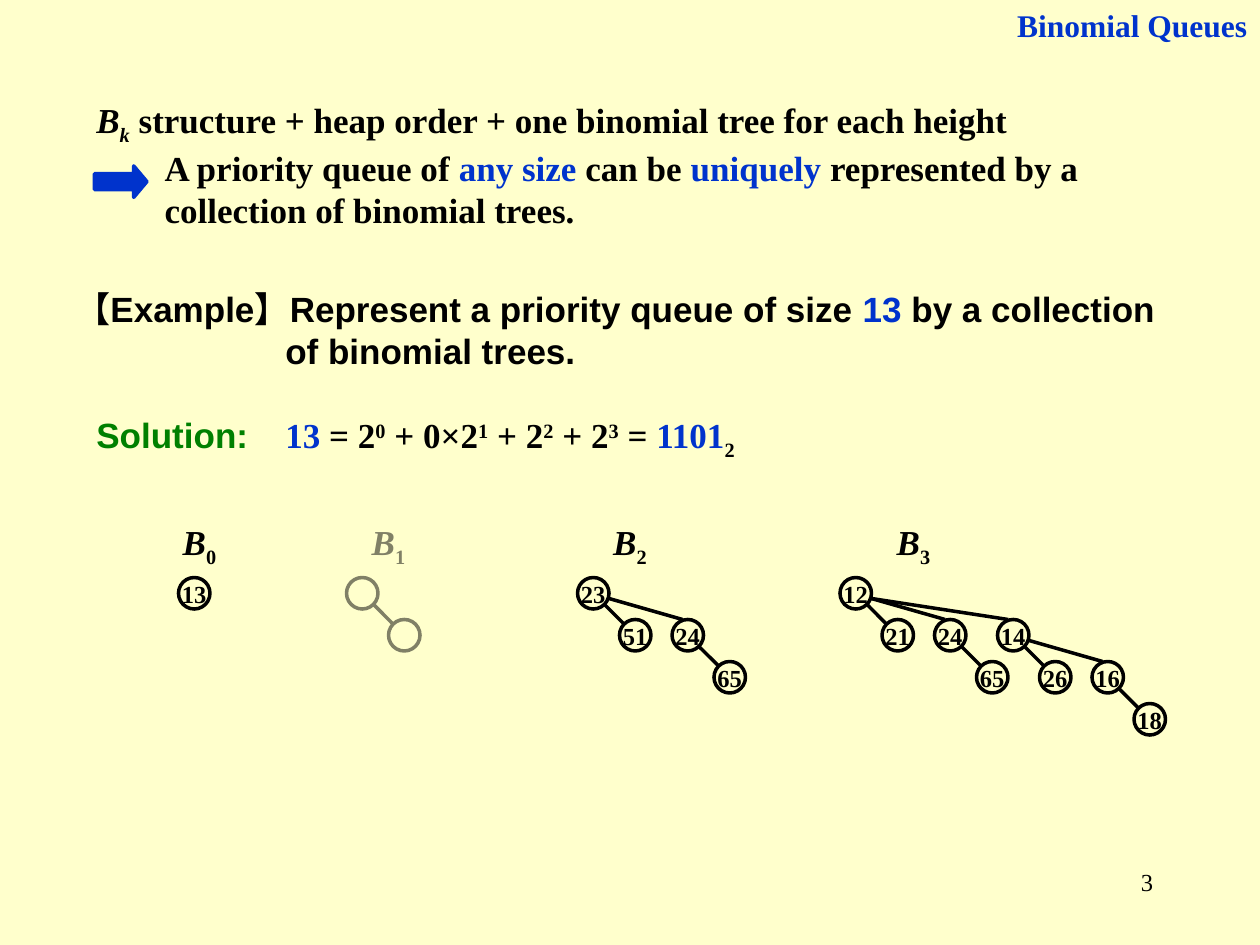
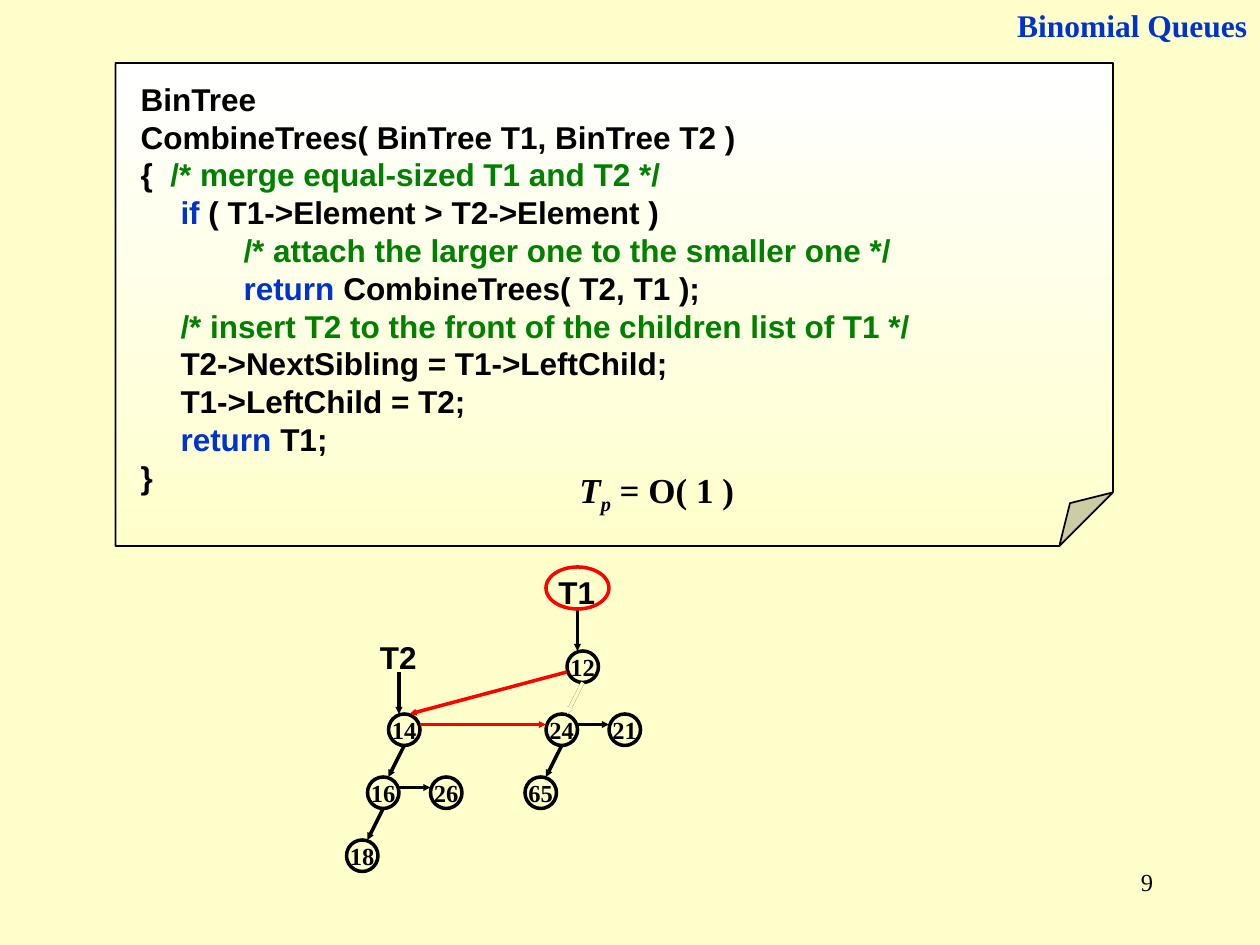
from lxml import etree
from pptx import Presentation
from pptx import util as u
from pptx.dml.color import RGBColor
from pptx.enum import shapes, text
from pptx.oxml import ns

EMU_PER_PX = 7620  # 120 px to the inch
COLORS = {"paper": "FFFFCC", "white": "FFFFFF", "black": "000000",
          "blue": "0033CC", "green": "008000", "red": "FF0000"}
SERIF, SANS = "Times New Roman", "Arial"
BASELINES = {"sub": "-25000", "super": "30000"}
NODE = 30
CHILD_STEPS = (40, 90, 150)  # horizontal offset of each child of a binomial tree
LEVEL = 40
LINK_LEFT, LINK_DOWN, SIBLING_STEP = -20, 60, 60


def px(*lengths):
    return [u.Emu(length * EMU_PER_PX) for length in lengths]


def rgb(name):
    return RGBColor.from_string(COLORS[name])


def write(paragraph, pieces, size, font=SERIF, bold=True):
    """Fill a paragraph; a piece is a string or (string, space-separated styles)."""
    for piece in pieces:
        words, styles = (piece, "") if isinstance(piece, str) else piece
        run = paragraph.add_run()
        run.text = words
        run.font.name, run.font.size, run.font.bold = font, u.Pt(size), bold
        run.font.color.rgb = rgb("black")
        for style in styles.split():
            if style in COLORS:
                run.font.color.rgb = rgb(style)
            elif style in BASELINES:
                run.font._element.set("baseline", BASELINES[style])
            elif style == "italic":
                run.font.italic = True


def indent(paragraph, left, first=0):
    properties = paragraph._p.get_or_add_pPr()
    properties.set("marL", str(left * EMU_PER_PX))
    properties.set("indent", str(first * EMU_PER_PX))


def add_text(slide, box, pieces, size=20, font=SERIF, bold=True, align=None, wrap=True):
    frame = slide.shapes.add_textbox(*px(*box)).text_frame
    frame.word_wrap = wrap
    paragraph = frame.paragraphs[0]
    paragraph.alignment = align
    write(paragraph, pieces, size, font, bold)
    return frame


def add_shape(slide, kind, box, line="black", fill=None, width=2):
    shape = slide.shapes.add_shape(kind, *px(*box))
    shape.shadow.inherit = False
    if fill:
        shape.fill.solid()
        shape.fill.fore_color.rgb = rgb(fill)
    else:
        shape.fill.background()
    if line:
        shape.line.color.rgb = rgb(line)
        shape.line.width = u.Pt(width)
    else:
        shape.line.fill.background()
    return shape


def add_line(slide, start, end, color="black", arrow=False):
    line = slide.shapes.add_connector(shapes.MSO_CONNECTOR.STRAIGHT, *px(*start, *end))
    line.line.color.rgb = rgb(color)
    line.line.width = u.Pt(2)
    properties = line._element.spPr
    if arrow:
        etree.SubElement(properties.find(ns.qn("a:ln")), ns.qn("a:tailEnd"),
                         type="triangle", w="sm", len="sm")
    etree.SubElement(properties, ns.qn("a:effectLst"))


def add_node(slide, left, top, key):
    node = add_shape(slide, shapes.MSO_SHAPE.OVAL, (left, top, NODE, NODE))
    if key:
        frame = node.text_frame
        frame.word_wrap = False
        frame.vertical_anchor = text.MSO_ANCHOR.MIDDLE
        frame.margin_left = frame.margin_right = frame.margin_top = frame.margin_bottom = 0
        frame.paragraphs[0].alignment = text.PP_ALIGN.CENTER
        write(frame.paragraphs[0], [key], 14)


def add_binomial_tree(slide, left, top, tree):
    """Draw (key, children), each child being the next larger binomial tree."""
    key, children = tree
    for step, child in zip(CHILD_STEPS, children):
        if step == CHILD_STEPS[0]:
            start, end = (left + 25, top + 25), (left + step + 5, top + LEVEL + 5)
        else:
            start, end = (left + NODE, top + 20), (left + step + 10, top + LEVEL)
        add_line(slide, start, end)
        add_binomial_tree(slide, left + step, top + LEVEL, child)
    add_node(slide, left, top, key)


def add_linked_tree(slide, left, top, tree):
    """Draw (key, left child, next sibling) with an arrow for each pointer."""
    key, child, sibling = tree
    add_node(slide, left, top, key)
    if child:
        add_line(slide, (left + 15, top + NODE), (left + 15 + LINK_LEFT + 5, top + LINK_DOWN),
                 arrow=True)
        add_linked_tree(slide, left + LINK_LEFT, top + LINK_DOWN, child)
    if sibling:
        add_line(slide, (left + NODE, top + 10), (left + SIBLING_STEP, top + 10), arrow=True)
        add_linked_tree(slide, left + SIBLING_STEP, top, sibling)


def add_base_slide(presentation, number):
    slide = presentation.slides.add_slide(presentation.slide_layouts[5])
    title = slide.shapes.title
    title.left, title.top, title.width, title.height = px(890, 0, 310, 48)
    frame = title.text_frame
    frame.auto_size = text.MSO_AUTO_SIZE.NONE
    frame.vertical_anchor = text.MSO_ANCHOR.TOP
    frame.paragraphs[0].alignment = text.PP_ALIGN.RIGHT
    write(frame.paragraphs[0], [("Binomial Queues", "blue")], 18)
    add_text(slide, (860, 820, 250, 60), [str(number)], 14, bold=False,
             align=text.PP_ALIGN.RIGHT)
    return slide


def add_statement(slide, left, top):
    frame = add_text(slide, (left, top, 1010, 132), [
        ("B", "italic"), ("k", "italic sub"),
        " structure + heap order + one binomial tree for each height"])
    for pieces in (
            ["A priority queue of ", ("any size", "blue"), " can be ", ("uniquely", "blue"),
             " represented by a"],
            ["collection of binomial trees."]):
        paragraph = frame.add_paragraph()
        indent(paragraph, 65)
        write(paragraph, pieces, 20)
    arrow = add_shape(slide, shapes.MSO_SHAPE.RIGHT_ARROW, (left + 10, top + 70, 50, 30),
                      "blue", "blue")
    arrow.adjustments[1] = 0.42


def add_example(slide, left, top):
    frame = add_text(slide, (left, top, 1080, 92), [
        "【Example】Represent a priority queue of size ", ("13", "blue"),
        " by a collection of binomial trees."], font=SANS)
    indent(frame.paragraphs[0], 200, -200)


def add_solution(slide, left, top):
    add_text(slide, (left, top, 200, 52), [("Solution:", "green")], font=SANS)
    add_text(slide, (left + 180, top, 550, 52), [
        ("13", "blue"), " = 2", ("0", "super"), " + 0×2", ("1", "super"), " + 2",
        ("2", "super"), " + 2", ("3", "super"), " = ", ("1101", "blue"), ("2", "sub")])


def add_forest(slide, top):
    """Draw B0 to B3 in a row and veil the unused B1."""
    pair = ("24", [("65", [])])
    forest = [
        (150, 170, ("13", [])),
        (330, 330, ("", [("", [])])),
        (560, 550, ("23", [("51", []), pair])),
        (830, 800, ("12", [("21", []), pair,
                           ("14", [("26", []), ("16", [("18", [])])])])),
    ]
    for order, (label_left, root_left, tree) in enumerate(forest):
        add_text(slide, (label_left, top, 80, 52), [("B", "italic"), (str(order), "sub")],
                 align=text.PP_ALIGN.CENTER)
        add_binomial_tree(slide, root_left, top + 60, tree)
    veil = add_shape(slide, shapes.MSO_SHAPE.RECTANGLE, (300, top, 140, 140), None, "paper")
    color = veil._element.spPr.find(ns.qn("a:solidFill")).find(ns.qn("a:srgbClr"))
    etree.SubElement(color, ns.qn("a:alpha"), val="50000")


def add_code_sheet(slide, left, top):
    sheet = add_shape(slide, shapes.MSO_SHAPE.FOLDED_CORNER, (left, top, 950, 460), width=1)
    guides = sheet._element.spPr.find(ns.qn("a:prstGeom")).find(ns.qn("a:avLst"))
    for guide in list(guides):
        guides.remove(guide)
    etree.SubElement(guides, ns.qn("a:gd"), name="adj", fmla="val 11100")
    sheet.fill.gradient()
    sheet.fill.gradient_angle = 270
    for stop, name in zip(sheet.fill.gradient_stops, ("white", "paper")):
        stop.color.rgb = rgb(name)
    frame = sheet.text_frame
    frame.word_wrap = True
    frame.vertical_anchor = text.MSO_ANCHOR.TOP
    frame.margin_left, frame.margin_top, frame.margin_right, frame.margin_bottom = px(24, 16, 5, 6)
    code = [
        ["BinTree"],
        ["CombineTrees( BinTree T1, BinTree T2 )"],
        ["{  ", ("/* merge equal-sized T1 and T2 */", "green")],
        ["\t", ("if", "blue"), " ( T1->Element > T2->Element )"],
        [("\t\t/* attach the larger one to the smaller one */", "green")],
        ["\t\t", ("return", "blue"), " CombineTrees( T2, T1 );"],
        [("\t/* insert T2 to the front of the children list of T1 */", "green")],
        ["\tT2->NextSibling = T1->LeftChild;"],
        ["\tT1->LeftChild = T2;"],
        ["\t", ("return", "blue"), " T1;"],
        ["}"],
    ]
    for index, pieces in enumerate(code):
        paragraph = frame.add_paragraph() if index else frame.paragraphs[0]
        paragraph.alignment = text.PP_ALIGN.LEFT
        indent(paragraph, 38, -38)
        write(paragraph, pieces, 18, SANS)
    add_text(slide, (left + 430, top + 380, 173, 52),
             [("T", "italic"), ("p", "italic sub"), " = O( 1 )"], wrap=False)


def add_merge(slide, left, top):
    """Draw T1 and T2, then the relinking in red; (left, top) is the root of T1."""
    second_left, second_top = left - 170, top + 60
    first = ("12", ("24", ("65", None, None), ("21", None, None)), None)
    second = ("14", ("16", ("18", None, None), ("26", None, None)), None)
    for name, root_left, root_top, tree, label_rise in (
            ("T1", left, top, first, 80), ("T2", second_left, second_top, second, 78)):
        add_linked_tree(slide, root_left, root_top, tree)
        add_line(slide, (root_left + 10, root_top - 40), (root_left + 10, root_top), arrow=True)
        add_text(slide, (root_left - 20, root_top - label_rise, 59, 48), [name], 18, SANS,
                 wrap=False)
    for start, end, color in (
            ((second_left + NODE, second_top + 10), (left - 20, second_top + 10), "red"),
            ((left + 15, top + NODE), (left, second_top), "paper"),
            ((left, top + 20), (second_left + 20, second_top), "red")):
        add_line(slide, start, end, color, arrow=True)
    add_shape(slide, shapes.MSO_SHAPE.OVAL, (left - 20, top - 80, 60, 40), "red")


def main():
    presentation = Presentation()
    presentation.slide_width, presentation.slide_height = px(1200, 900)
    background = presentation.slide_master.background.fill
    background.solid()
    background.fore_color.rgb = rgb("paper")

    example = add_base_slide(presentation, 3)
    add_statement(example, 80, 88)
    add_example(example, 60, 268)
    add_solution(example, 80, 388)
    add_forest(example, 490)

    combine = add_base_slide(presentation, 9)
    add_code_sheet(combine, 110, 60)
    add_merge(combine, 540, 620)
    presentation.save("out.pptx")


if __name__ == "__main__":
    main()
